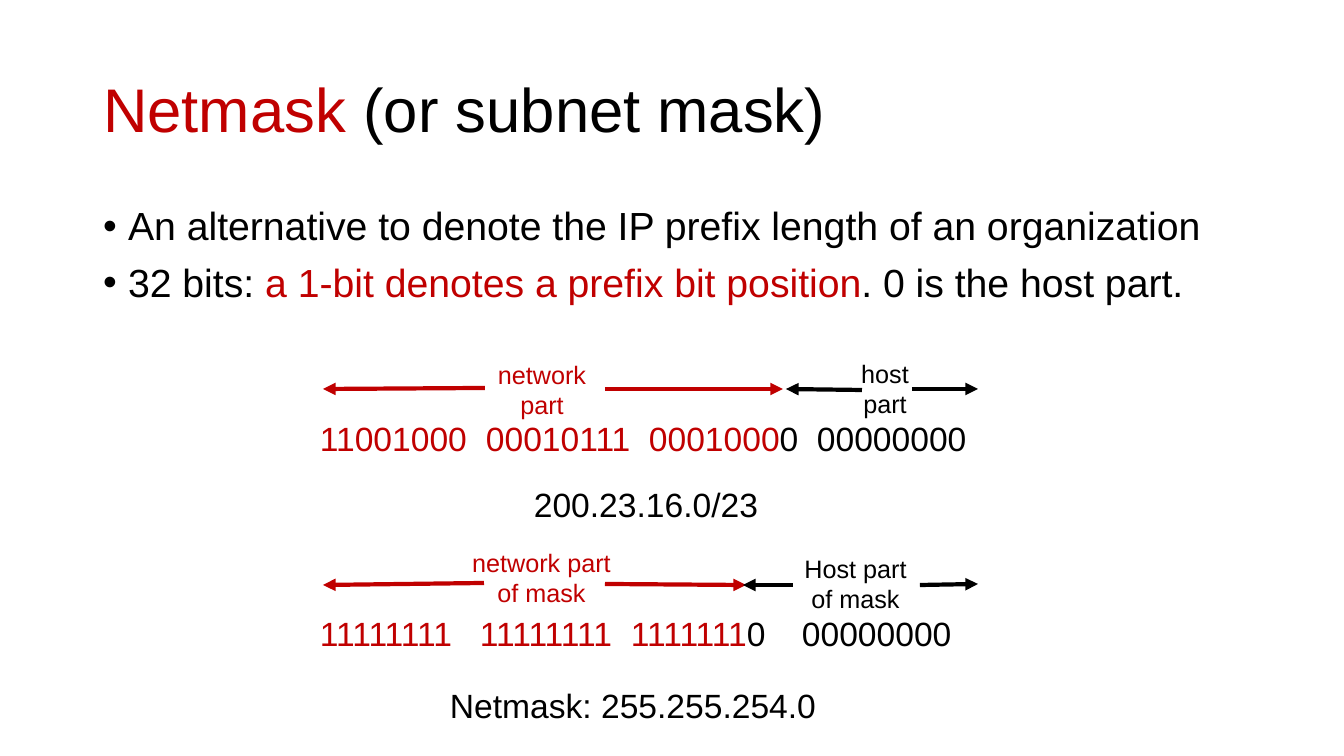
from lxml import etree
from pptx import Presentation
from pptx import util as u
from pptx.dml.color import RGBColor
from pptx.enum import shapes, text
from pptx.oxml.ns import qn

RED = RGBColor(0xC0, 0x00, 0x00)
BLACK = RGBColor(0x00, 0x00, 0x00)
LEFT, CENTER = text.PP_ALIGN.LEFT, text.PP_ALIGN.CENTER


def assign(target, values):
    for name, value in values.items():
        setattr(target, name, value)


class SlideBuilder:
    """Hold the presentation, the current slide and its style."""

    SCALE = 914400 / 100.8
    FONT = "Arial"
    FRAME = {"word_wrap": True, "auto_size": text.MSO_AUTO_SIZE.NONE}

    def __init__(self, width, height):
        self.presentation = Presentation()
        assign(self.presentation, {"slide_width": self.px(width),
                                   "slide_height": self.px(height)})
        self.slide = self.presentation.slides.add_slide(
            self.presentation.slide_layouts[1])

    def px(self, length):
        return u.Emu(round(length * self.SCALE))

    def fill_text(self, frame, paragraphs, size, bullet=None, tabs=(), **format_values):
        assign(frame, self.FRAME)
        for index, runs in enumerate(paragraphs):
            paragraph = frame.add_paragraph() if index else frame.paragraphs[0]
            properties = paragraph._p.get_or_add_pPr()
            if bullet:
                properties.set("marL", str(self.px(25)))
                properties.set("indent", str(self.px(-25)))
                etree.SubElement(properties, qn("a:buChar"), char=bullet)
            if tabs:
                stops = etree.SubElement(properties, qn("a:tabLst"))
                for tab in tabs:
                    etree.SubElement(stops, qn("a:tab"), pos=str(self.px(tab)), algn="l")
            assign(paragraph, format_values)
            paragraph.space_before = u.Pt(10 if bullet and index else 0)
            for words, color in runs:
                run = paragraph.add_run()
                run.text = words
                assign(run.font, {"name": self.FONT, "size": u.Pt(size)})
                run.font.color.rgb = color

    def placeholder(self, index, box, paragraphs, size, anchor, **format_values):
        shape = self.slide.placeholders[index]
        assign(shape, dict(zip(("left", "top", "width", "height"), map(self.px, box))))
        shape.text_frame.vertical_anchor = anchor
        self.fill_text(shape.text_frame, paragraphs, size, alignment=LEFT,
                       line_spacing=0.9, **format_values)

    def label(self, box, paragraphs, size=24, alignment=LEFT, tabs=()):
        shape = self.slide.shapes.add_textbox(*map(self.px, box))
        self.fill_text(shape.text_frame, paragraphs, size, tabs=tabs, alignment=alignment)

    def arrow(self, start, end, color):
        connector = self.slide.shapes.add_connector(
            shapes.MSO_CONNECTOR.STRAIGHT, *map(self.px, start + end))
        connector.line.width = u.Pt(3)
        connector.line.color.rgb = color
        properties = connector._element.spPr
        etree.SubElement(properties.find(qn("a:ln")), qn("a:tailEnd"), type="triangle")
        etree.SubElement(properties, qn("a:effectLst"))

    def address(self, top, network_bits, host_bits, tabs):
        self.label((310, top, 680, 50), [[(network_bits, RED), (host_bits, BLACK)]],
                   tabs=tabs)


def main():
    builder = SlideBuilder(1344, 756)
    builder.placeholder(0, (93, 40, 1159, 146),
                        [[("Netmask ", RED), ("(or subnet mask)", BLACK)]],
                        44, text.MSO_ANCHOR.MIDDLE)
    builder.placeholder(1, (93, 202, 1159, 480), [
        [("An alternative to denote the IP prefix length of an organization", BLACK)],
        [("32 bits: ", BLACK), ("a 1-bit denotes a prefix bit position", RED),
         (". 0 is the host part.", BLACK)],
    ], 28, text.MSO_ANCHOR.TOP, bullet="•")

    builder.address(413, "11001000\t00010111\t0001000", "0\t00000000", (166, 329, 497))
    builder.address(608, "11111111\t11111111\t1111111", "0\t00000000", (160, 311, 482))

    for box, lines, color in (
        ((482, 354, 120, 72), ("network", "part"), RED),
        ((845, 353, 80, 72), ("host", "part"), BLACK),
        ((461, 542, 161, 72), ("network part of mask",), RED),
        ((785, 548, 141, 72), ("Host part of mask",), BLACK),
    ):
        builder.label(box, [[(line, color)] for line in lines], 18, CENTER)

    for start, end, color in (
        ((605, 389), (783, 389), RED),
        ((485, 388), (323, 389), RED),
        ((862, 390), (786, 389), BLACK),
        ((912, 389), (978, 389), BLACK),
        ((605, 584), (746, 585), RED),
        ((484, 583), (323, 585), RED),
        ((793, 585), (743, 585), BLACK),
        ((920, 585), (978, 584), BLACK),
    ):
        builder.arrow(start, end, color)

    builder.label((524, 479, 247, 50), [[("200.23.16.0/23", BLACK)]])
    builder.label((440, 680, 390, 50), [[("Netmask: 255.255.254.0", BLACK)]])
    builder.presentation.save("out.pptx")


if __name__ == "__main__":
    main()
